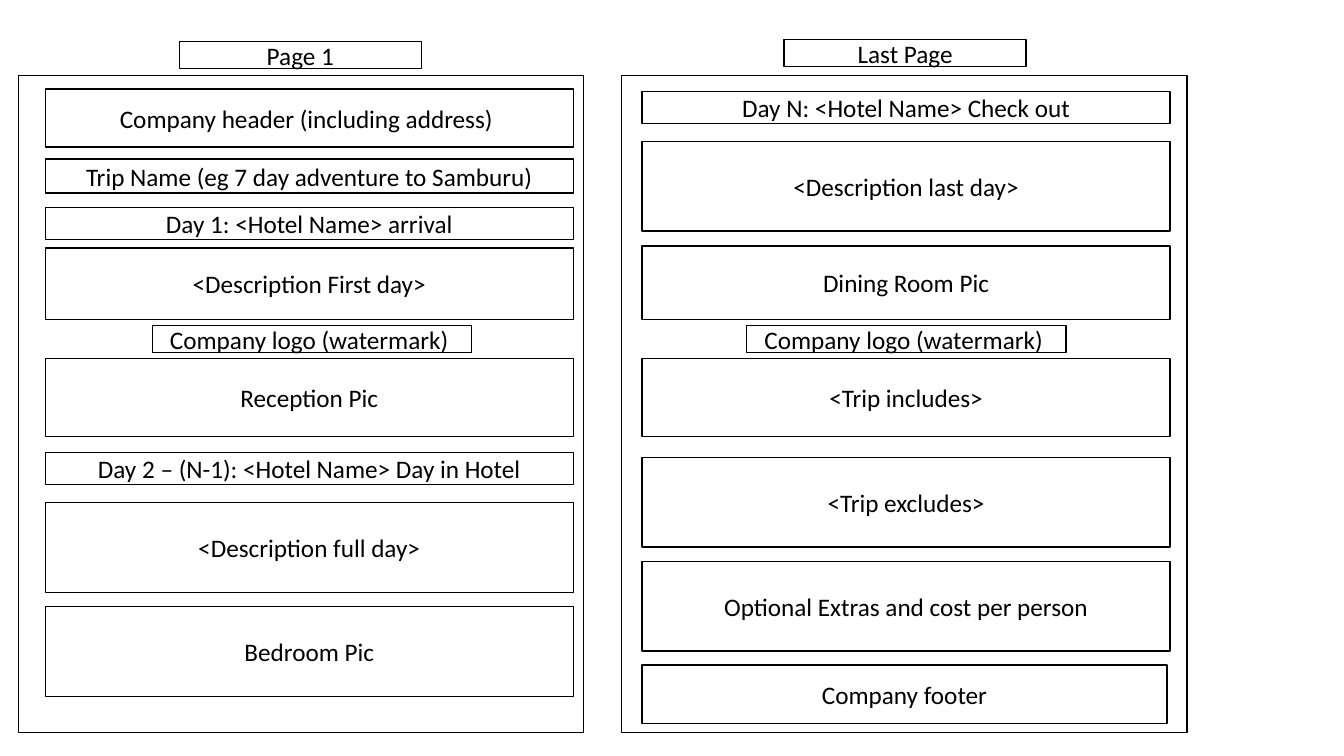
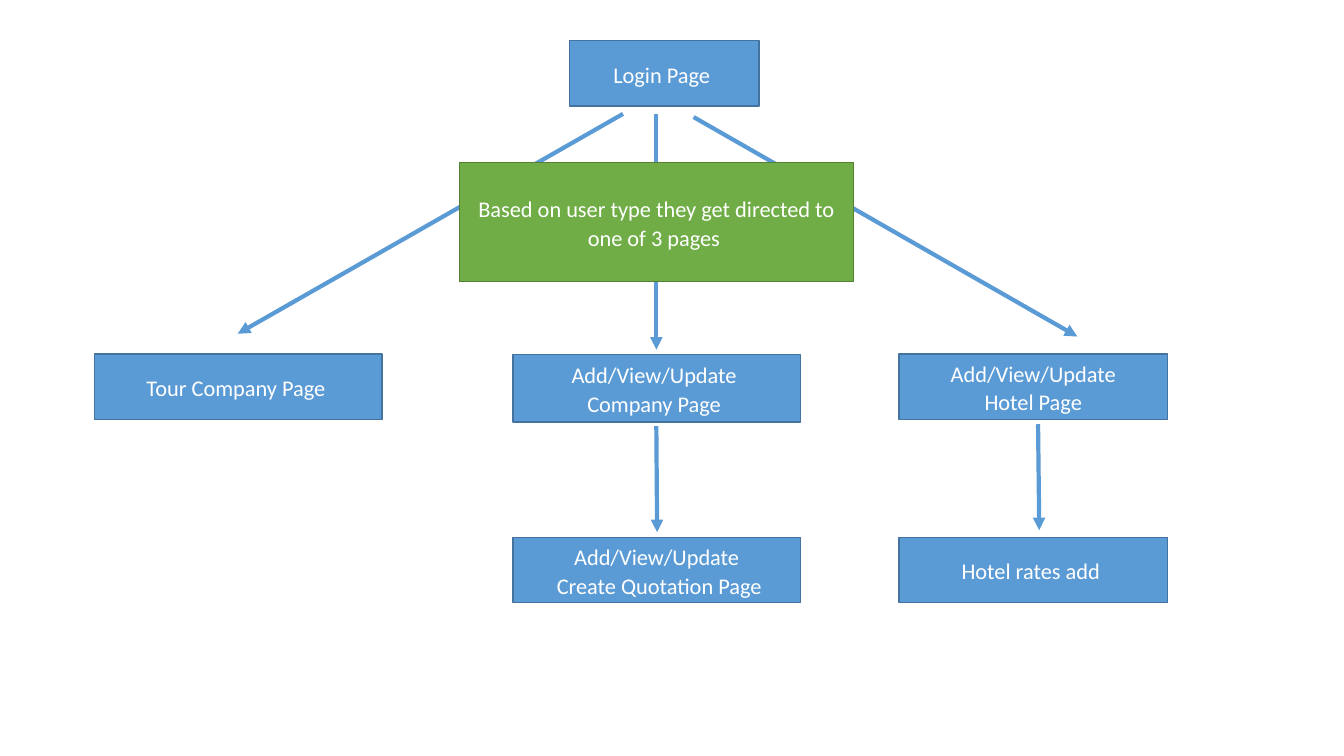
from copy import deepcopy

from lxml import etree
from pptx import Presentation
from pptx.dml.color import RGBColor
from pptx.enum.shapes import MSO_CONNECTOR as Connector, MSO_SHAPE as Shape
from pptx.enum.text import MSO_ANCHOR as Anchor, PP_ALIGN as Align
from pptx.oxml.ns import qn
from pptx.util import Cm, Pt

FONT = "Calibri"
BLACK, WHITE = "000000", "FFFFFF"
BLUE, DARK_BLUE = "5B9BD5", "43739E"
GREEN, DARK_GREEN = "70AD47", "538035"

PAGE_TOP, PAGE_WIDTH, PAGE_HEIGHT = 1.9, 14.25, 16.56
BLOCK_WIDTH, FOOTER_WIDTH = 13.31, 13.23
BAND, TITLE_BAND, HEADING, PANEL = 1.47, 0.86, 0.81, 2.26
TAG_WIDTH, LOGO_WIDTH, TAG_HEIGHT = 6.1, 8.05, 0.69
LOGO_TOP, LOGO_GAP = 8.2, 0.15
ABOVE_LOGO = LOGO_TOP - LOGO_GAP
BELOW_LOGO = LOGO_TOP + TAG_HEIGHT + LOGO_GAP
LOWER_PANEL = 11 - BELOW_LOGO

FIRST_PAGE = [
    ("Company header (including address) ", 2.24, BAND, BLOCK_WIDTH),
    ("Trip Name (eg 7 day adventure to Samburu)", 4.01, TITLE_BAND, BLOCK_WIDTH),
    ("Day 1: <Hotel Name> arrival", 5.23, HEADING, BLOCK_WIDTH),
    ("<Description First day>", 6.25, ABOVE_LOGO - 6.25, BLOCK_WIDTH),
    ("Reception Pic", BELOW_LOGO, LOWER_PANEL, BLOCK_WIDTH),
    ("Day 2 – (N-1): <Hotel Name> Day in Hotel", 11.4, HEADING, BLOCK_WIDTH),
    ("<Description full day>", 12.67, PANEL, BLOCK_WIDTH),
    ("Bedroom Pic", 15.29, PANEL, BLOCK_WIDTH),
]
LAST_PAGE = [
    ("Day N: <Hotel Name> Check out", 2.31, HEADING, BLOCK_WIDTH),
    ("<Description last day>", 3.56, PANEL, BLOCK_WIDTH),
    ("Dining Room Pic", 6.2, ABOVE_LOGO - 6.2, BLOCK_WIDTH),
    ("<Trip includes>", BELOW_LOGO, LOWER_PANEL, BLOCK_WIDTH),
    ("<Trip excludes>", 11.53, PANEL, BLOCK_WIDTH),
    ("Optional Extras and cost per person", 14.15, PANEL, BLOCK_WIDTH),
    ("Company footer", 16.76, BAND, FOOTER_WIDTH),
]

LEFT_COLUMN, MIDDLE_COLUMN, RIGHT_COLUMN = 2.39, 12.93, 22.66
WIDE, NARROW, STEP_HEIGHT = 7.24, 6.76, 1.65
PAGE_ROW, ACTION_ROW = 8.92, 13.54

STEPS = [
    ("Login Page\u00a0", 14.35, 1.02, 4.78, STEP_HEIGHT),
    ("Tour Company Page\u00a0", LEFT_COLUMN, PAGE_ROW, WIDE, STEP_HEIGHT),
    ("Add/View/Update \nCompany Page\u00a0", MIDDLE_COLUMN, 8.94, WIDE, 1.7),
    ("Add/View/Update\n Hotel Page\u00a0", RIGHT_COLUMN, PAGE_ROW, NARROW, STEP_HEIGHT),
    ("Add/View/Update\n Create Quotation Page", MIDDLE_COLUMN, ACTION_ROW, WIDE, STEP_HEIGHT),
    ("Hotel rates add\u00a0", RIGHT_COLUMN, ACTION_ROW, NARROW, STEP_HEIGHT),
]
ARROWS = [
    (15.7, 2.87, 5.99, 8.41),
    (16.54, 2.87, 16.54, 8.81),
    (17.48, 2.95, 27.15, 8.48),
    (16.54, 10.74, 16.56, 13.41),
    (26.16, 10.69, 26.19, 13.36),
]


def color(value):
    return RGBColor.from_string(value)


def write_text(shape, text, size=18, ink=BLACK, line_spacing=None, space_after=None):
    frame = shape.text_frame
    frame.word_wrap = True
    frame.vertical_anchor = Anchor.MIDDLE
    paragraph = frame.paragraphs[0]
    paragraph.text = text
    paragraph.alignment = Align.CENTER
    paragraph.line_spacing = line_spacing
    paragraph.space_after = space_after
    for run in paragraph.runs:
        run.font.name = FONT
        run.font.size = Pt(size)
        run.font.color.rgb = color(ink)
    for line_break in paragraph._p.findall(qn("a:br")):
        line_break.insert(0, deepcopy(paragraph.runs[0]._r.rPr))


def add_box(slide, left, top, width, height, fill=WHITE, line=BLACK):
    shape = slide.shapes.add_shape(
        Shape.RECTANGLE, Cm(left), Cm(top), Cm(width), Cm(height))
    shape.shadow.inherit = False
    if fill:
        shape.fill.solid()
        shape.fill.fore_color.rgb = color(fill)
    else:
        shape.fill.background()
    shape.line.color.rgb = color(line)
    shape.line.width = Pt(1)
    return shape


def add_step(slide, text, left, top, width, height, fill=BLUE, line=DARK_BLUE):
    shape = add_box(slide, left, top, width, height, fill, line)
    write_text(shape, text, size=16, ink=WHITE, line_spacing=1.07, space_after=Pt(8))


def add_arrow(slide, *ends):
    arrow = slide.shapes.add_connector(Connector.STRAIGHT, *map(Cm, ends))
    arrow.line.color.rgb = color(BLUE)
    arrow.line.width = Pt(3)
    etree.SubElement(arrow.line._get_or_add_ln(), qn("a:tailEnd"), type="triangle")
    etree.SubElement(arrow._element.spPr, qn("a:effectLst"))


def add_page(slide, left, block_left, blocks, tag, tag_place, logo_left):
    add_box(slide, left, PAGE_TOP, PAGE_WIDTH, PAGE_HEIGHT)
    for text, top, height, width in blocks:
        write_text(add_box(slide, block_left, top, width, height), text)
    write_text(add_box(slide, *tag_place, TAG_WIDTH, TAG_HEIGHT), tag)
    logo = add_box(slide, logo_left, LOGO_TOP, LOGO_WIDTH, TAG_HEIGHT, fill=None)
    write_text(logo, "Company logo (watermark) ")


def build_itinerary(slide):
    add_page(slide, 0.46, 1.14, FIRST_PAGE, "Page 1", (4.52, 1.04), 3.84)
    add_page(slide, 15.67, 16.18, LAST_PAGE, "Last Page", (19.76, 0.99), 18.82)


def build_login_flow(slide):
    for step in STEPS:
        add_step(slide, *step)
    for arrow in ARROWS:
        add_arrow(slide, *arrow)
    add_step(slide, "Based on user type they get directed to one of 3 pages ",
             11.58, 4.09, 9.93, 3, GREEN, DARK_GREEN)


def main():
    presentation = Presentation()
    presentation.slide_width = Cm(33.87)
    presentation.slide_height = Cm(19.05)
    blank = presentation.slide_layouts[6]
    for build in (build_itinerary, build_login_flow):
        build(presentation.slides.add_slide(blank))
    presentation.save("out.pptx")


main()
